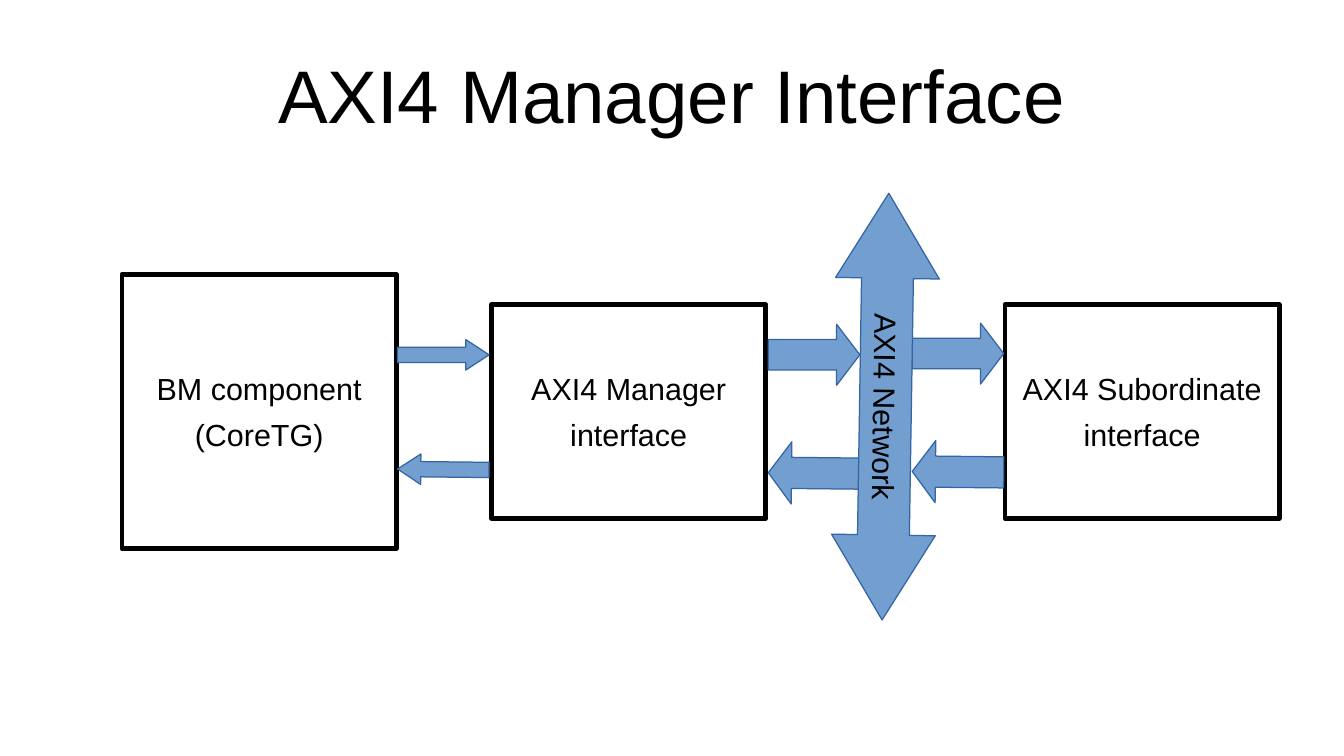
from pptx import Presentation
from pptx.dml.color import RGBColor
from pptx.enum.shapes import MSO_SHAPE
from pptx.enum.text import MSO_ANCHOR, MSO_AUTO_SIZE, PP_ALIGN
from pptx.util import Inches, Pt

RECT, ARROW, TWO_WAY = MSO_SHAPE.RECTANGLE, MSO_SHAPE.RIGHT_ARROW, MSO_SHAPE.LEFT_RIGHT_ARROW
MIDDLE, CENTER, NO_FIT = MSO_ANCHOR.MIDDLE, PP_ALIGN.CENTER, MSO_AUTO_SIZE.NONE

COLORS = {"ink": "000000", "paper": "FFFFFF", "arrow": "729FCF", "edge": "3465A4"}
FONT = "Arial"
BLOCK_W, ARROW_W, HEAD = 2.25, 0.75, 0.19  # inches
BACK_TURN = 180.6


def color(name):
    return RGBColor.from_string(COLORS[name])


def write(shape, *lines, size=18, space=0, inset=(0, 0), wrap=False):
    """Fill a shape with centred lines of text."""
    tf = shape.text_frame
    tf.auto_size, tf.word_wrap, tf.vertical_anchor = NO_FIT, wrap, MIDDLE
    tf.margin_left = tf.margin_right = Inches(inset[0])
    tf.margin_top = tf.margin_bottom = Inches(inset[1])
    for i, line in enumerate(lines):
        p = tf.paragraphs[0] if i == 0 else tf.add_paragraph()
        p.alignment = CENTER
        p.space_before = p.space_after = Pt(space)
        r = p.add_run()
        r.text = line
        r.font.name, r.font.size = FONT, Pt(size)
        r.font.color.rgb = color("ink")


def add_shape(s, kind, box, fill, line, width=0, turn=0, adjust=()):
    sp = s.shapes.add_shape(kind, *map(Inches, box))
    sp.shadow.inherit = False
    sp.fill.solid()
    sp.fill.fore_color.rgb = color(fill)
    sp.line.color.rgb = color(line)
    sp.line.width = Pt(width)
    sp.rotation = turn
    for i, value in enumerate(adjust):
        sp.adjustments[i] = value
    return sp


def add_title(s, box, text):
    title = s.shapes.title
    title.left, title.top, title.width, title.height = map(Inches, box)
    write(title, text, size=44, wrap=True)


def add_block(s, box, *lines):
    sp = add_shape(s, RECT, box, "paper", "ink", width=2.89)
    write(sp, *lines, space=2.8, inset=(0.12, 0.07))


def add_exchange(s, box, out_h, back_h):
    """Request arrow centred on the box's top edge, response on its bottom edge."""
    x, y, w, h = box
    for mid, height, turn in ((y, out_h, 0), (y + h, back_h, BACK_TURN)):
        add_shape(s, ARROW, (x, mid - height / 2, w, height), "arrow", "edge",
                  turn=turn, adjust=(0.5, HEAD / height))


def add_network(s, box, text):
    sp = add_shape(s, TWO_WAY, box, "arrow", "edge", turn=90.9, adjust=(0.5, 0.82))
    write(sp, text, inset=(0.1, 0.05))


prs = Presentation()
prs.slide_width, prs.slide_height = Inches(11.02), Inches(6.2)
s = prs.slides.add_slide(prs.slide_layouts[5])

add_title(s, (0.55, 0.25, 9.92, 1.04), "AXI4 Manager Interface")

# Blocks share one horizontal centre line
CENTER_Y = 3.375
for x, h, lines in (
    (1, 2.25, ("BM component", "(CoreTG)")),
    (4.03, 1.75, ("AXI4 Manager", "interface")),
    (8.24, 1.75, ("AXI4 Subordinate", "interface")),
):
    add_block(s, (x, CENTER_Y - h / 2, BLOCK_W, h), *lines)

# Arrow pairs between neighbours
for x, y, gap, out_h, back_h in (
    (3.26, 2.91, 0.94, 0.25, 0.25),
    (6.3, 2.91, 0.97, 0.5, 0.51),
    (7.48, 2.9, 0.97, 0.5, 0.51),
):
    add_exchange(s, (x, y, ARROW_W, gap), out_h, back_h)

# Network spine
add_network(s, (5.51, 2.91, 3.5, 0.85), "AXI4 Network")

prs.save("out.pptx")
